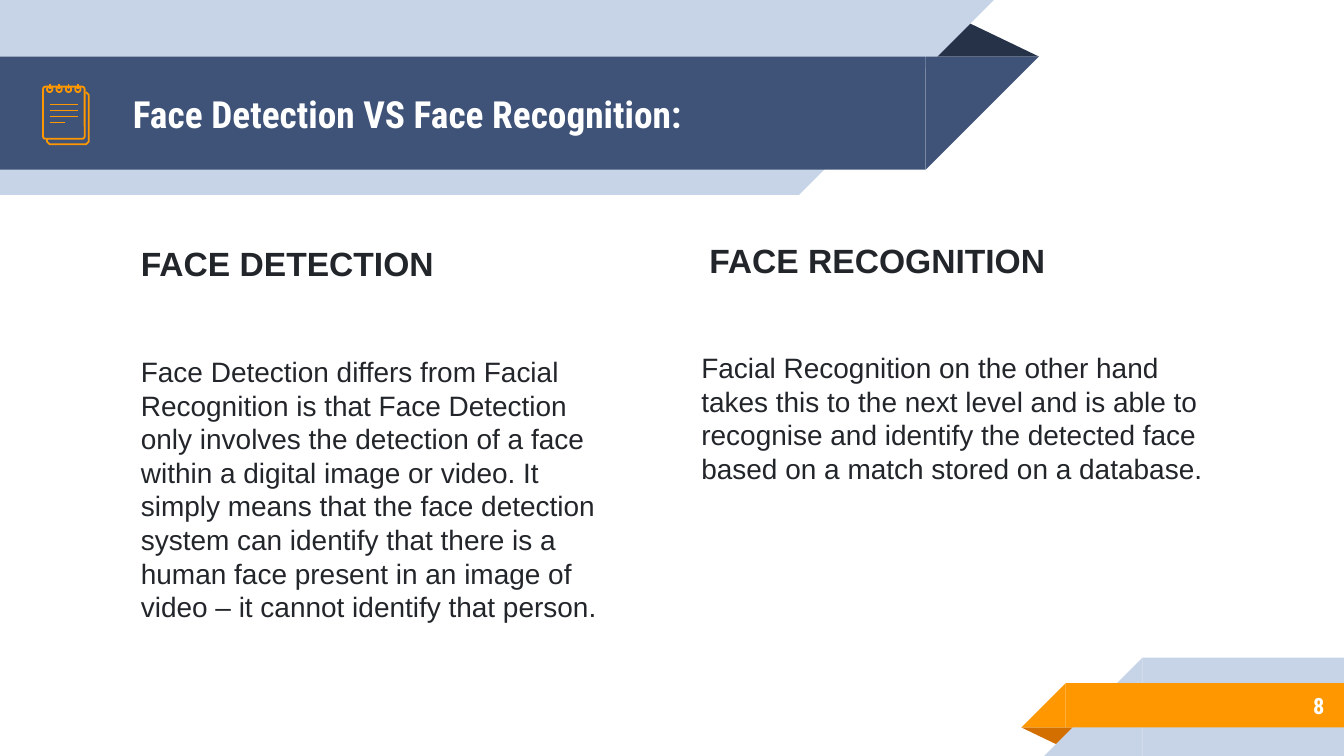
from pptx import Presentation
from pptx.dml.color import RGBColor
from pptx.enum.shapes import MSO_CONNECTOR as CONN, MSO_SHAPE as SHAPE
from pptx.enum.text import MSO_ANCHOR as ANCHOR, PP_ALIGN as ALIGN
from pptx.oxml.ns import qn
from pptx.util import Inches, Pt
from lxml.etree import SubElement

W = 10
H = W * 9 / 16
COLORS = {
    "pale": "C7D3E6", "navy": "3F5378", "navy_fold": "263248",
    "orange": "FF9800", "orange_fold": "D26F00",
    "white": "FFFFFF", "ink": "22252A",
}
HEAD_FONT, BODY_FONT = "Roboto Condensed", "Arial"


def rgb(name):
    return RGBColor.from_string(COLORS[name])


def inches(*lengths):
    return [Inches(v) for v in lengths]


def style_piece(sp, fill, line):
    sp.shadow.inherit = False
    if fill:
        sp.fill.solid()
        sp.fill.fore_color.rgb = rgb(fill)
    else:
        sp.fill.background()
    if line:
        sp.line.color.rgb = rgb(line)
        sp.line.width = Pt(0.96)
    else:
        sp.line.fill.background()


def add_piece(s, kind, box, fill=None, line=None, rotation=0):
    sp = s.shapes.add_shape(kind, *inches(*box))
    sp.rotation = rotation
    style_piece(sp, fill, line)
    return sp


def add_line(s, x1, y1, x2, y2, color):
    c = s.shapes.add_connector(CONN.STRAIGHT, *inches(x1, y1, x2, y2))
    c.line.color.rgb = rgb(color)
    c.line.width = Pt(0.96)
    SubElement(c._element.spPr, qn("a:effectLst"))


def add_frame(s, box, anchor):
    tf = s.shapes.add_textbox(*inches(*box)).text_frame
    tf.word_wrap = True
    tf.vertical_anchor = anchor
    tf.margin_left = tf.margin_right = Inches(0.1)
    tf.margin_top = tf.margin_bottom = Inches(0.1)
    return tf


def add_run(p, text, size, font, color, bold=False):
    r = p.add_run()
    r.text = text
    r.font.size, r.font.name, r.font.bold = Pt(size), font, bold
    r.font.color.rgb = rgb(color)


def add_ribbon(s, box, band_top, band_h, color, points_right):
    """Pale strip, folded corner and coloured band; heights are shares of the box."""
    x, y, w, h = box
    lag, fold_w, fold_h = 0.23 * h, 0.585 * h, 0.19 * h
    top, band = y + band_top * h, band_h * h

    def strip(strip_y, strip_h, length, fill):
        body = length - strip_h
        if points_right:
            body_x, tip_x, turn = x, x + body, 90
        else:
            body_x, tip_x, turn = x + w - body, x + w - length, 270
        add_piece(s, SHAPE.RECTANGLE, (body_x, strip_y, body, strip_h), fill)
        add_piece(s, SHAPE.RIGHT_TRIANGLE, (tip_x, strip_y, strip_h, strip_h),
                  fill, rotation=turn)

    if points_right:
        fold_x, fold_y, turn = x + w - fold_w, top - fold_h, 0
    else:
        fold_x, fold_y, turn = x, top + band, 180
    fold = add_piece(s, SHAPE.ISOSCELES_TRIANGLE, (fold_x, fold_y, fold_w, fold_h),
                     color + "_fold", rotation=turn)
    fold.adjustments[0] = 0.324
    strip(y, h, w - lag, "pale")
    strip(top, band, w, color)


def add_notepad(s, box):
    """Outline icon on a grid of 34 columns and 44 rows."""
    x, y, w, h = box
    col, row = w / 34, h / 44

    def pt(c, r):
        return x + c * col, y + r * row

    corners = [(3, 40), (3, 42), (5, 44), (32, 44), (34, 42), (34, 8), (32, 6)]
    points = [inches(*pt(c, r)) for c, r in corners]
    fb = s.shapes.build_freeform(*points[0])
    fb.add_line_segments(points[1:], close=False)
    style_piece(fb.convert_to_shape(), None, "orange")

    page = add_piece(s, SHAPE.ROUNDED_RECTANGLE, (*pt(0, 2), 31 * col, 38 * row),
                     line="orange")
    page.adjustments[0] = 0.06
    for i in range(4):
        c = 3 + 7 * i
        add_piece(s, SHAPE.OVAL, (*pt(c, 2), 4 * col, 4 * row), line="orange")
        add_line(s, *pt(c + 2, 0), *pt(c + 2, 4), "orange")
        end = 16 if i == 3 else 26
        r = 15 + 4.4 * i
        add_line(s, *pt(5, r), *pt(end, r), "orange")


def add_header(s, box, title):
    x, y, w, h = box
    add_ribbon(s, box, 0.29, 0.58, "navy", points_right=True)
    add_notepad(s, (x + 0.32, y + 0.43 * h, 0.34, 0.31 * h))
    tf = add_frame(s, (x + 0.89, y + 0.295 * h, 0.744 * w, 0.58 * h), ANCHOR.MIDDLE)
    add_run(tf.paragraphs[0], title, 20, HEAD_FONT, "white", True)


def add_footer(s, box, number):
    x, y, w, h = box
    add_ribbon(s, box, 0.26, 0.45, "orange", points_right=False)
    tf = add_frame(s, (x + 0.3 * w, y + 0.25 * h, 0.68 * w, 0.48 * h), ANCHOR.MIDDLE)
    p = tf.paragraphs[0]
    p.alignment = ALIGN.RIGHT
    add_run(p, number, 12, HEAD_FONT, "white", True)


def add_column(s, box, heading, body, heading_indent, body_indent):
    tf = add_frame(s, box, ANCHOR.TOP)
    parts = [(heading, 18, True, 6, heading_indent), (body, 15, False, 38, body_indent)]
    for i, (text, size, bold, before, indent) in enumerate(parts):
        p = tf.add_paragraph() if i else tf.paragraphs[0]
        p.space_before = Pt(before)
        p._p.get_or_add_pPr().set("marL", str(Inches(indent)))
        add_run(p, text, size, BODY_FONT, "ink", bold)


def main():
    prs = Presentation()
    prs.slide_width, prs.slide_height = inches(W, H)
    s = prs.slides.add_slide(prs.slide_layouts[6])
    add_header(s, (0, 0, 0.773 * W, 0.258 * H), "Face Detection VS Face Recognition:")
    add_footer(s, (0.76 * W, 0.87 * H, 0.24 * W, 0.13 * H), "8")
    add_column(
        s, (0.045 * W, 0.304 * H, 0.416 * W, 0.69 * H), "FACE DETECTION",
        "Face Detection differs from Facial Recognition is that Face Detection only "
        "involves the detection of a face within a digital image or video. It simply "
        "means that the face detection system can identify that there is a human face "
        "present in an image of video – it cannot identify that person.", 0.5, 0.5)
    add_column(
        s, (0.512 * W, 0.299 * H, 0.396 * W, 0.7 * H), "FACE RECOGNITION",
        "Facial Recognition on the other hand takes this to the next level and is able "
        "to recognise and identify the detected face based on a match stored on a "
        "database.", 0.06, 0)
    prs.save("out.pptx")


if __name__ == "__main__":
    main()
